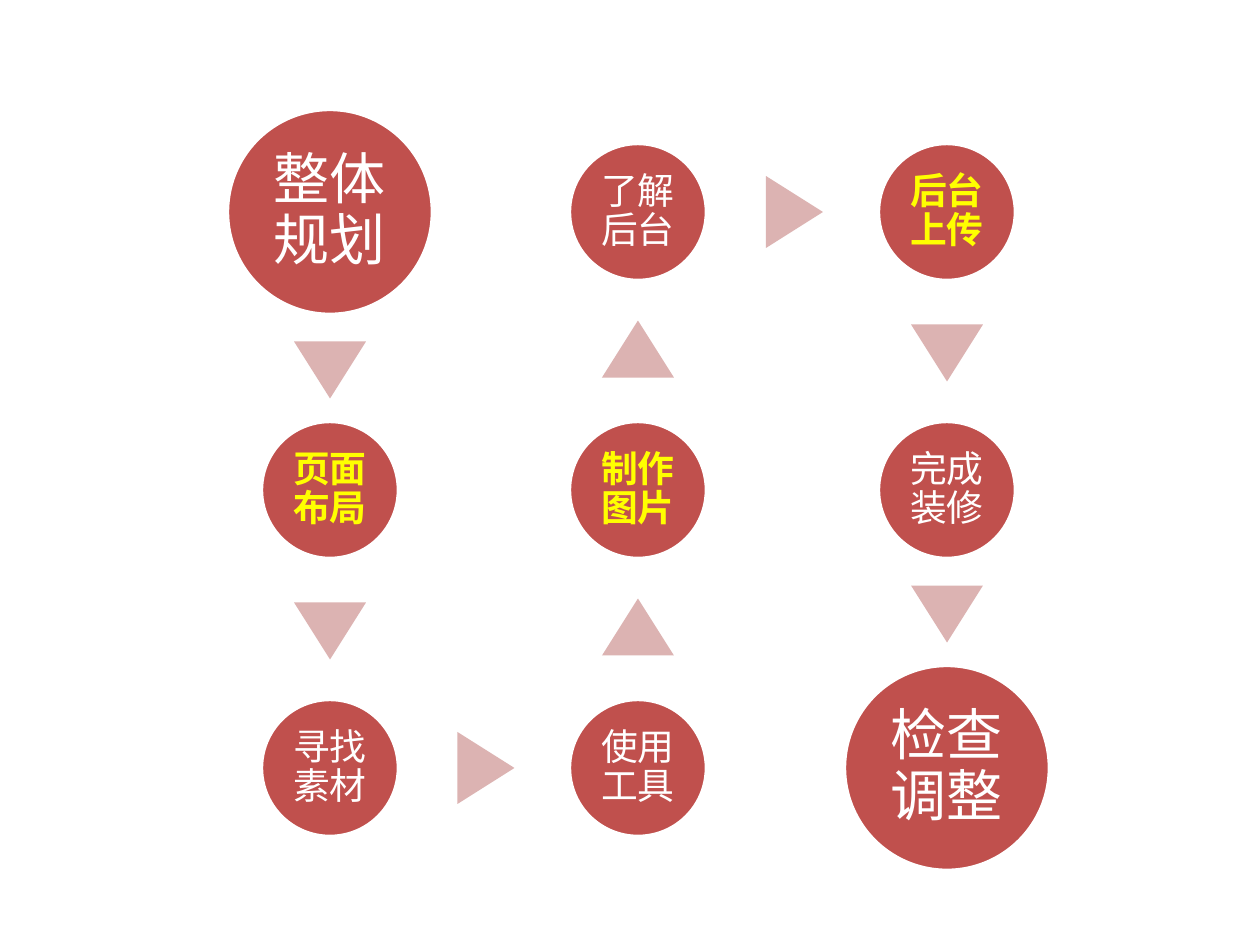
from pptx import Presentation
from pptx.dml.color import RGBColor
from pptx.enum.shapes import MSO_SHAPE as Shape
from pptx.enum.text import MSO_ANCHOR as Anchor, PP_ALIGN as Align
from pptx.util import Emu, Pt

PX = 914400 // 126
COLORS = {"circle": "C0504D", "arrow": "DCB3B2", "outline": "FFFFFF",
          "plain": "FFFFFF", "key": "FFFF00"}

# label, column, row, size, emphasis
STEPS = [
    ("整体规划", 0, 0, "large", "plain"),
    ("页面布局", 0, 1, "small", "key"),
    ("寻找素材", 0, 2, "small", "plain"),
    ("使用工具", 1, 2, "small", "plain"),
    ("制作图片", 1, 1, "small", "key"),
    ("了解后台", 1, 0, "small", "plain"),
    ("后台上传", 2, 0, "small", "key"),
    ("完成装修", 2, 1, "small", "plain"),
    ("检查调整", 2, 2, "large", "plain"),
]
# diameter px, text pt, inset px
SIZES = {"large": (205, 32, 5), "small": (137, 21, 4)}
COLUMN_X = (330, 638, 947)
ROW_Y = (212, 490, 768)
ARROW_WIDTH, ARROW_HEIGHT = 72, 57
ARROW_SHIFT = 2  # arrows sit slightly ahead of the middle of the gap
ROTATION = {(0, -1): 0, (1, 0): 90, (0, 1): 180}


def color(name):
    return RGBColor.from_string(COLORS[name])


def add_centered(slide, kind, x, y, width, height, fill):
    """Add a filled shape whose centre is at x, y."""
    shape = slide.shapes.add_shape(
        kind, *(Emu(round(v * PX)) for v in
                (x - width / 2, y - height / 2, width, height)))
    shape.shadow.inherit = False
    shape.fill.solid()
    shape.fill.fore_color.rgb = color(fill)
    return shape


def add_step(slide, label, column, row, size, emphasis):
    diameter, points, inset = SIZES[size]
    circle = add_centered(slide, Shape.OVAL, COLUMN_X[column], ROW_Y[row],
                          diameter, diameter, "circle")
    circle.line.color.rgb = color("outline")
    circle.line.width = Pt(2)
    frame = circle.text_frame
    frame.word_wrap = True
    frame.vertical_anchor = Anchor.MIDDLE
    frame.margin_left = frame.margin_right = Emu(inset * PX)
    frame.margin_top = frame.margin_bottom = Emu(inset * PX)
    paragraph = frame.paragraphs[0]
    paragraph.text = label
    paragraph.alignment = Align.CENTER
    paragraph.line_spacing = 0.9
    font = paragraph.font
    font.name = "Calibri"
    font.size = Pt(points)
    font.bold = emphasis == "key"
    font.color.rgb = color(emphasis)


def add_arrow(slide, start, end):
    """Add a triangle in the gap between two circles, pointing to the second."""
    _, column, row, start_size, _ = start
    _, next_column, next_row, end_size, _ = end
    dx, dy = next_column - column, next_row - row
    # Unequal circles move the middle of the gap towards the smaller one
    offset = (SIZES[start_size][0] - SIZES[end_size][0]) / 4 + ARROW_SHIFT
    x = (COLUMN_X[column] + COLUMN_X[next_column]) / 2 + dx * offset
    y = (ROW_Y[row] + ROW_Y[next_row]) / 2 + dy * offset
    arrow = add_centered(slide, Shape.ISOSCELES_TRIANGLE, x, y,
                         ARROW_WIDTH, ARROW_HEIGHT, "arrow")
    arrow.line.fill.background()
    arrow.rotation = ROTATION[dx, dy]


def main():
    deck = Presentation()
    deck.slide_width, deck.slide_height = Emu(1260 * PX), Emu(945 * PX)
    slide = deck.slides.add_slide(deck.slide_layouts[6])
    for step in STEPS:
        add_step(slide, *step)
    for start, end in zip(STEPS, STEPS[1:]):
        add_arrow(slide, start, end)
    deck.save("out.pptx")


if __name__ == "__main__":
    main()
